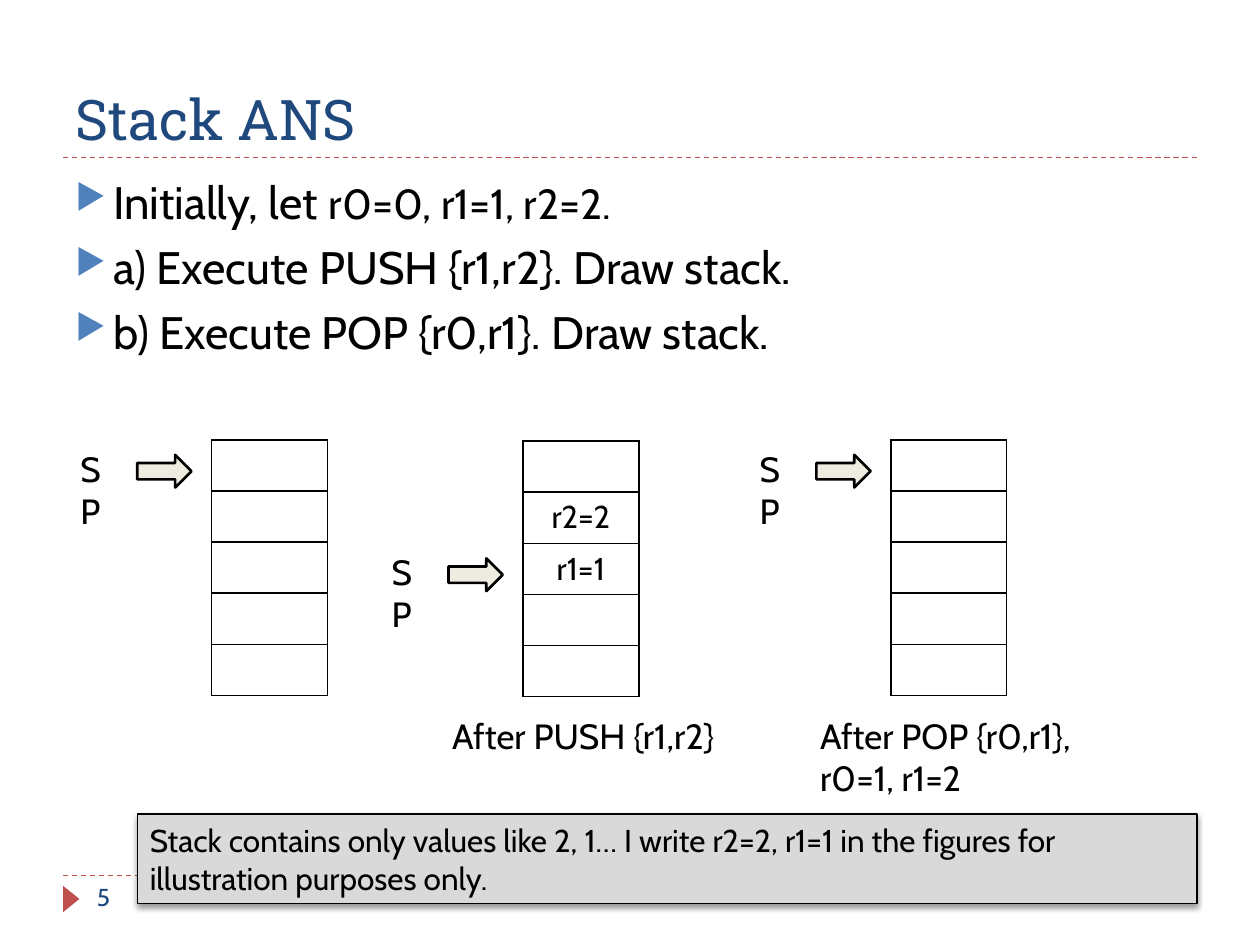
from lxml import etree
from pptx import Presentation
from pptx.dml.color import RGBColor
from pptx.enum.dml import MSO_LINE
from pptx.enum.shapes import MSO_CONNECTOR, MSO_SHAPE
from pptx.enum.text import MSO_ANCHOR, PP_ALIGN
from pptx.oxml.ns import qn
from pptx.util import Inches, Pt

DASH = MSO_LINE.DASH
STRAIGHT = MSO_CONNECTOR.STRAIGHT
RECTANGLE = MSO_SHAPE.RECTANGLE
TRIANGLE = MSO_SHAPE.ISOSCELES_TRIANGLE
RIGHT_ARROW = MSO_SHAPE.RIGHT_ARROW
TOP, MIDDLE, BOTTOM = MSO_ANCHOR.TOP, MSO_ANCHOR.MIDDLE, MSO_ANCHOR.BOTTOM
LEFT, CENTER = PP_ALIGN.LEFT, PP_ALIGN.CENTER

BLACK = RGBColor(0x00, 0x00, 0x00)
NAVY = RGBColor(0x1F, 0x49, 0x7D)
RED = RGBColor(0xC0, 0x50, 0x4D)
CREAM = RGBColor(0xEE, 0xEC, 0xE1)
GREY = RGBColor(0xD9, 0xD9, 0xD9)
BULLET_BLUE = "4F81BD"
BODY_FONT, TITLE_FONT = "Cabin", "Roboto Slab"

# Content
TITLE = "Stack ANS"
PAGE_NUMBER = "5"
STEPS = [
    [("Initially, let ", 26), ("r0=0, r1=1, r2=2.", 24)],
    [("a) Execute PUSH {r1,r2}. Draw stack.", 26)],
    [("b) Execute POP {r0,r1}. Draw stack.", 26)],
]
# Each stack: left, top, cell values, row of the stack pointer, caption lines
STACKS = [
    (1.68, 3.49, ["", "", "", "", ""], 0, []),
    (4.15, 3.50, ["", "r2=2", "r1=1", "", ""], 2, ["After PUSH {r1,r2}"]),
    (7.07, 3.49, ["", "", "", "", ""], 0, ["After POP {r0,r1},", "r0=1, r1=2"]),
]
NOTE = ("Stack contains only values like 2, 1… I write r2=2, r1=1 "
        "in the figures for illustration purposes only.")

# Layout
SLIDE_W, SLIDE_H = 10, 7.5
MARGIN = 0.05 * SLIDE_W
CONTENT_W = SLIDE_W - 2 * MARGIN
CELL_W, STACK_H = 0.92, 2.03
CAPTION_TOP = 5.62

deck = Presentation()
deck.slide_width, deck.slide_height = Inches(SLIDE_W), Inches(SLIDE_H)
page = deck.slides.add_slide(deck.slide_layouts[6])


def inches(*lengths):
    return [Inches(length) for length in lengths]


def add_span(para, text, size, color=BLACK, font=BODY_FONT):
    span = para.add_run()
    span.text = text
    span.font.color.rgb = color
    for name, value in {"name": font, "size": Pt(size)}.items():
        setattr(span.font, name, value)


def write(frame, lines, anchor=TOP, align=LEFT, wrap=True, **look):
    for name, value in {"word_wrap": wrap, "vertical_anchor": anchor}.items():
        setattr(frame, name, value)
    for index, line in enumerate(lines):
        para = frame.add_paragraph() if index else frame.paragraphs[0]
        para.alignment = align
        add_span(para, line, **look)


def add_text(place, lines, **look):
    box = page.shapes.add_textbox(*inches(*place))
    write(box.text_frame, lines, **look)


def add_figure(kind, place, fill, line_width=None):
    figure = page.shapes.add_shape(kind, *inches(*place))
    figure.shadow.inherit = False
    figure.fill.solid()
    figure.fill.fore_color.rgb = fill
    if line_width:
        figure.line.color.rgb = BLACK
        figure.line.width = Pt(line_width)
    else:
        figure.line.fill.background()
    return figure


def add_rule(top):
    rule = page.shapes.add_connector(
        STRAIGHT, *inches(MARGIN, top, SLIDE_W - MARGIN, top))
    rule.line.color.rgb = RED
    rule.line.width = Pt(0.75)
    rule.line.dash_style = DASH
    etree.SubElement(rule._element.spPr, qn("a:effectLst"))


def add_bullet(para):
    props = para._p.get_or_add_pPr()
    props.set("marL", str(Inches(0.3)))
    props.set("indent", str(-Inches(0.3)))
    color = etree.SubElement(props, qn("a:buClr"))
    etree.SubElement(color, qn("a:srgbClr"), val=BULLET_BLUE)
    etree.SubElement(props, qn("a:buSzPct"), val="76000")
    etree.SubElement(props, qn("a:buChar"), char="▶")


def add_borders(cell):
    props = cell._tc.get_or_add_tcPr()
    for index, side in enumerate(("lnL", "lnR", "lnT", "lnB")):
        border = etree.Element(qn("a:" + side), w=str(Pt(1)))
        fill = etree.SubElement(border, qn("a:solidFill"))
        etree.SubElement(fill, qn("a:srgbClr"), val=str(BLACK))
        props.insert(index, border)


def add_stack(left, top, values, pointer_row, caption):
    row_h = STACK_H / len(values)
    table = page.shapes.add_table(
        len(values), 1, *inches(left, top, CELL_W, STACK_H)).table
    table.first_row = table.horz_banding = False
    for row, value in enumerate(values):
        cell = table.cell(row, 0)
        cell.margin_top = cell.margin_bottom = Inches(0.04)
        cell.vertical_anchor = MIDDLE
        cell.fill.background()
        add_borders(cell)
        if value:
            para = cell.text_frame.paragraphs[0]
            para.alignment = CENTER
            add_span(para, value, 18)
    # Stack pointer label and arrow beside its row
    pointer_top = top + pointer_row * row_h
    add_figure(RIGHT_ARROW, (left - 0.59, pointer_top + 0.12, 0.43, 0.26),
               CREAM, 1.5)
    add_text((left - 1.14, pointer_top + 0.01, 0.47, 0.44), ["SP"], size=20)
    if caption:
        add_text((left - 0.66, CAPTION_TOP, 2.38, 0.11 + 0.33 * len(caption)),
                 caption, size=20, wrap=False)


# Rules and page marker
for rule_top in (6.95, 1.25):
    add_rule(rule_top)
marker = add_figure(TRIANGLE, (0.46, 7.07, 0.21, 0.13), RED)
marker.rotation = 90
add_text((0.67, 6.95, 2.17, 0.4), [PAGE_NUMBER], size=14, color=NAVY)

# Title
add_text((MARGIN, 0.17, CONTENT_W, 1.08), [TITLE], anchor=BOTTOM,
         size=32, color=NAVY, font=TITLE_FONT)

# Bulleted steps
steps = page.shapes.add_textbox(*inches(MARGIN, 1.33, CONTENT_W, 1.65)).text_frame
steps.word_wrap = True
for number, spans in enumerate(STEPS):
    step = steps.add_paragraph() if number else steps.paragraphs[0]
    step.space_before = Pt(6)
    add_bullet(step)
    for words, points in spans:
        add_span(step, words, points)

# Stacks
for stack in STACKS:
    add_stack(*stack)

# Shaded note with a soft shadow
note = add_figure(RECTANGLE, (1.09, 6.46, 8.41, 0.71), GREY, 0.75)
write(note.text_frame, [NOTE], anchor=MIDDLE, size=18)
shadow = etree.SubElement(
    note._element.spPr.find(qn("a:effectLst")), qn("a:outerShdw"),
    blurRad=str(Pt(3)), dist=str(Pt(2)), dir="5400000", rotWithShape="0")
shade = etree.SubElement(shadow, qn("a:srgbClr"), val=str(BLACK))
etree.SubElement(shade, qn("a:alpha"), val="40000")

deck.save("out.pptx")
